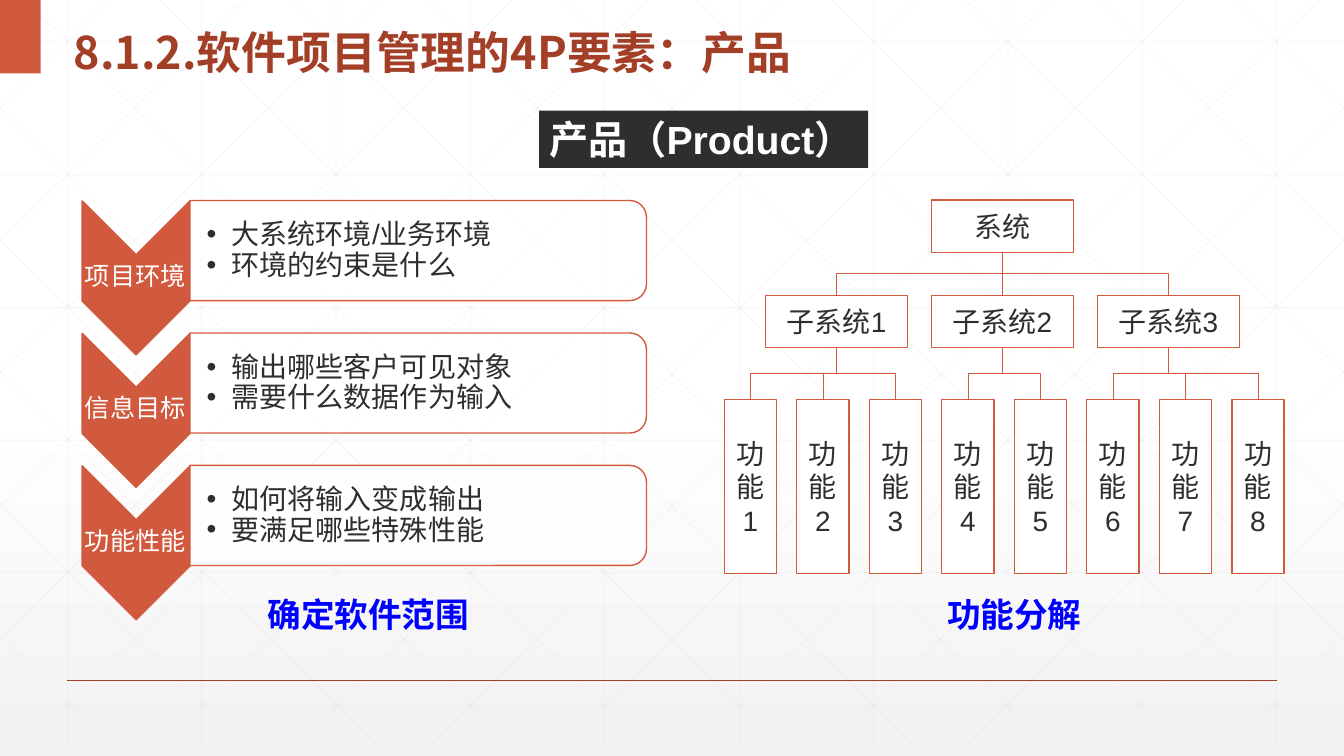
from lxml import etree
from pptx import Presentation
from pptx import util as u
from pptx.dml import color
from pptx.enum import shapes, text
from pptx.oxml import ns

RED, DARK_RED, INK, WHITE, BLUE, GREY = "D15A3E", "A43F27", "2D2E2D", "FFFFFF", "0000FF", "D9D9D9"
CJK_FONT = "Noto Sans CJK SC"
WIDTH, HEIGHT, GRID_BOTTOM = 960, 540, 531
ASPECTS = [
    ("项目环境", ["大系统环境/业务环境", "环境的约束是什么"]),
    ("信息目标", ["输出哪些客户可见对象", "需要什么数据作为输入"]),
    ("功能性能", ["如何将输入变成输出", "要满足哪些特殊性能"]),
]
FUNCTION_COUNTS = [3, 2, 3]


def rgb(value):
    """Turn a hex string into a colour."""
    return color.RGBColor.from_string(value)


def add_child(parent, tag, **attributes):
    """Append a DrawingML element."""
    return etree.SubElement(parent, ns.qn(tag), attributes)


def set_alpha(properties, percent):
    """Make the first solid colour in an element partly transparent."""
    solid = next(properties.iter(ns.qn("a:srgbClr")))
    add_child(solid, "a:alpha", val=str(percent * 1000))


def write(frame, lines, size, hue, bold=False, latin="Arial", align=text.PP_ALIGN.LEFT,
          spacing=None, bullets=False):
    """Fill a text frame with evenly formatted paragraphs."""
    frame.text = "\n".join(lines)
    for paragraph in frame.paragraphs:
        paragraph.alignment = align
        if spacing:
            paragraph.line_spacing = spacing
        if bullets:
            properties = paragraph._p.get_or_add_pPr()
            properties.set("marL", str(u.Pt(18)))
            properties.set("indent", str(-u.Pt(18)))
            add_child(properties, "a:buFont", typeface="Arial")
            add_child(properties, "a:buChar", char="•")
        for run in paragraph.runs:
            font = run.font
            font.size, font.bold, font.name = u.Pt(size), bold, latin
            font.color.rgb = rgb(hue)
            add_child(run._r.get_or_add_rPr(), "a:ea", typeface=CJK_FONT)


def add_block(slide, kind, left, top, width, height, fill, line=None):
    """Add a flat preset shape."""
    shape = slide.shapes.add_shape(kind, u.Pt(left), u.Pt(top), u.Pt(width), u.Pt(height))
    shape.shadow.inherit = False
    shape.fill.solid()
    shape.fill.fore_color.rgb = rgb(fill)
    if line:
        shape.line.color.rgb = rgb(line)
        shape.line.width = u.Pt(1)
    else:
        shape.line.fill.background()
    return shape


def add_text(slide, left, top, width, height, lines, size, hue, inset=None, wrap=True, **style):
    """Add a text box; a given left inset also tightens the other sides."""
    box = slide.shapes.add_textbox(u.Pt(left), u.Pt(top), u.Pt(width), u.Pt(height))
    frame = box.text_frame
    frame.word_wrap = wrap
    if inset is not None:
        frame.margin_left = u.Pt(inset)
        frame.margin_right = frame.margin_top = frame.margin_bottom = u.Pt(1)
        frame.vertical_anchor = text.MSO_ANCHOR.MIDDLE
    write(frame, lines, size, hue, **style)


def add_line(owner, x1, y1, x2, y2, hue, width, kind=shapes.MSO_CONNECTOR.STRAIGHT):
    """Add a connector without a shadow."""
    connector = owner.shapes.add_connector(kind, u.Pt(x1), u.Pt(y1), u.Pt(x2), u.Pt(y2))
    connector.line.color.rgb = rgb(hue)
    connector.line.width = u.Pt(width)
    add_child(connector._element.spPr, "a:effectLst")
    return connector


def add_background(slide):
    """Paint the gradient and the faint lattice of lines."""
    fill = slide.background.fill
    fill.gradient()
    fill.gradient_angle = 270
    for stop, position, hue in zip(fill.gradient_stops, (0.53, 1), (WHITE, "F2F2F2")):
        stop.position = position
        stop.color.rgb = rgb(hue)
    lines = [(48 + 96 * i, 0, 48 + 96 * i, GRID_BOTTOM) for i in range(10)]
    lines += [(0, 30 + 94.8 * i, WIDTH, 30 + 94.8 * i) for i in range(6)]
    families = [(18, 96, 10, 1, 0), (78, 96, 10, -1, 0),
                (78, 95.25, 5, -1, GRID_BOTTOM), (501, 95.25, 5, 1, GRID_BOTTOM)]
    for first, step, count, direction, start in families:
        for i in range(count):
            x = first + step * i
            run = min(537, WIDTH - x if direction > 0 else x)
            rise = run * GRID_BOTTOM / 537
            lines.append((x, start, x + direction * run, abs(start - rise)))
    lattice = slide.shapes.add_group_shape()
    for ends in lines:
        set_alpha(add_line(lattice, *ends, GREY, 0.5)._element.spPr, 25)
    add_line(slide, 48, 486, 912, 486, DARK_RED, 1)
    add_block(slide, shapes.MSO_SHAPE.RECTANGLE, 0, 0, 29, 52.5, RED)


def add_title(slide, wording):
    """Place and format the title above the background."""
    title = slide.shapes.title
    slide.shapes._spTree.append(title._element)
    title.left, title.top, title.width, title.height = map(u.Pt, (45.4, 5, 854, 52.5))
    title.text_frame.vertical_anchor = text.MSO_ANCHOR.MIDDLE
    write(title.text_frame, [wording], 32, DARK_RED, bold=True, latin=CJK_FONT, spacing=1.3)


def add_aspect(slide, top, label, points):
    """Add one downward chevron with its label and bulleted panel."""
    chevron = add_block(slide, shapes.MSO_SHAPE.CHEVRON, 42.2, top + 17, 110, 77, RED, RED)
    chevron.rotation = 90
    add_text(slide, 58.2, top + 38.5, 77, 33, [label], 18, WHITE, inset=1,
             align=text.PP_ALIGN.CENTER, spacing=0.9)
    panel = add_block(slide, shapes.MSO_SHAPE.ROUND_2_SAME_RECTANGLE,
                      263, top - 127, 71.5, 326, WHITE, RED)
    panel.rotation = 90
    set_alpha(panel._element.spPr, 90)
    add_text(slide, 136, top + 4, 322.5, 64.5, points, 20, INK, inset=11.5,
             spacing=0.9, bullets=True)


def add_node(slide, center, top, width, height, label):
    """Add one box of the tree."""
    node = add_block(slide, shapes.MSO_SHAPE.RECTANGLE, center - width / 2, top,
                     width, height, WHITE, RED)
    node.text_frame.word_wrap = True
    node.text_frame.vertical_anchor = text.MSO_ANCHOR.MIDDLE
    write(node.text_frame, [label], 20, INK, align=text.PP_ALIGN.CENTER)
    return node


def join(slide, parent, child):
    """Connect the bottom of a parent to the top of its child."""
    x1, y1 = parent.left + parent.width // 2, parent.top + parent.height
    x2, y2 = child.left + child.width // 2, child.top
    straight = abs(x2 - x1) < u.Pt(1)
    kind = shapes.MSO_CONNECTOR.STRAIGHT if straight else shapes.MSO_CONNECTOR.ELBOW
    connector = add_line(slide, u.Emu(x1).pt, u.Emu(y1).pt, u.Emu(x2).pt, u.Emu(y2).pt,
                         RED, 0.5, kind)
    connector.begin_connect(parent, 2)
    connector.end_connect(child, 0)
    if not straight:
        drop, reach = y2 - y1, abs(x2 - x1)
        connector.left, connector.top = (x1 + x2 - drop) // 2, (y1 + y2 - reach) // 2
        connector.width, connector.height = drop, reach
        frame = connector._element.spPr.find(ns.qn("a:xfrm"))
        frame.set("rot", str((90 if x2 < x1 else 270) * 60000))
        frame.set("flipH", "0" if x2 < x1 else "1")
        frame.set("flipV", "0")


def add_tree(slide):
    """Add the system, its subsystems and their functions."""
    system = add_node(slide, 716, 142.8, 101.5, 37.4, "系统")
    number = 0
    for i, count in enumerate(FUNCTION_COUNTS):
        subsystem = add_node(slide, 597.5 + 118.5 * i, 211, 101.5, 37.4, f"子系统{i + 1}")
        join(slide, system, subsystem)
        for _ in range(count):
            leaf = add_node(slide, 536 + 51.8 * number, 285.6, 37.4, 124, f"功能{number + 1}")
            join(slide, subsystem, leaf)
            number += 1


def main():
    """Build the slide and save it."""
    presentation = Presentation()
    presentation.slide_width, presentation.slide_height = u.Pt(WIDTH), u.Pt(HEIGHT)
    slide = presentation.slides.add_slide(presentation.slide_layouts[5])
    add_background(slide)
    add_title(slide, "8.1.2.软件项目管理的4P要素：产品")
    for i, (label, points) in enumerate(ASPECTS):
        add_aspect(slide, 143 + 94.6 * i, label, points)
    add_text(slide, 184, 421, 160, 36, ["确定软件范围"], 24, BLUE, wrap=False, bold=True)
    add_tree(slide)
    add_text(slide, 669.5, 421, 112, 36, ["功能分解"], 24, BLUE, wrap=False, bold=True)
    banner = add_block(slide, shapes.MSO_SHAPE.RECTANGLE, 385.2, 79, 235, 41, INK)
    banner.text_frame.word_wrap = False
    write(banner.text_frame, ["产品（Product）"], 28, WHITE, bold=True)
    presentation.save("out.pptx")


if __name__ == "__main__":
    main()
